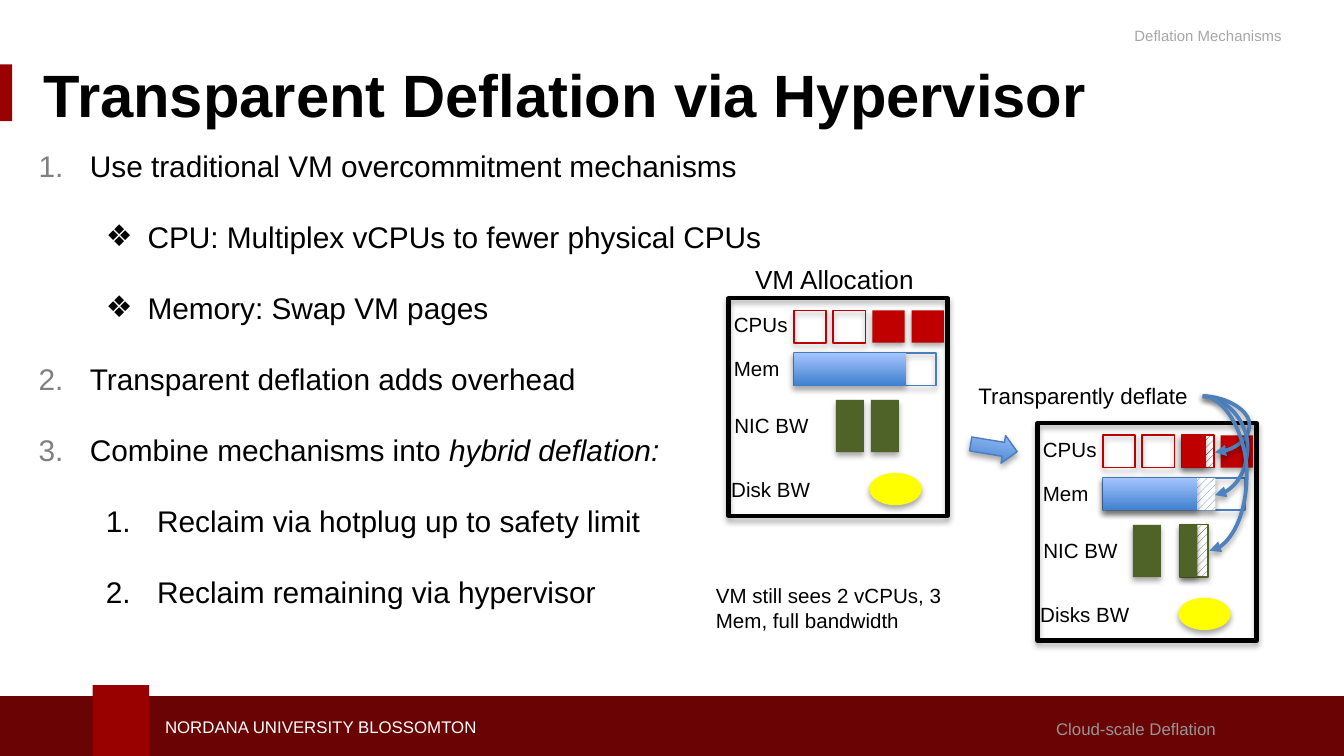
import copy
import pptx
import pptx.util
import pptx.oxml
import pptx.oxml.ns
import pptx.dml.color
import pptx.enum.dml
import pptx.enum.shapes
import pptx.enum.text

Cm = pptx.util.Cm
Pt = pptx.util.Pt
hue = pptx.dml.color.RGBColor.from_string
kind = pptx.enum.shapes.MSO_SHAPE
space = pptx.oxml.ns.nsdecls("a")
qn = pptx.oxml.ns.qn
shade = pptx.oxml.parse_xml(
    f'<a:effectLst {space}><a:outerShdw blurRad="40000" dist="23000" dir="5400000" rotWithShape="0">'
    '<a:srgbClr val="000000"><a:alpha val="35000"/></a:srgbClr></a:outerShdw></a:effectLst>')

deck = pptx.Presentation()
deck.slide_width, deck.slide_height = Cm(25.4), Cm(14.29)
page = deck.slides.add_slide(deck.slide_layouts[6])
items = page.shapes


def write(text, at=None, par=None, size=11, tint="000000", bold=False,
          ital=False, wrap=True, mid=False, right=False):
    if par is None:
        frame = items.add_textbox(*map(Cm, at)).text_frame
        frame.word_wrap = wrap
        if mid:
            frame.vertical_anchor = pptx.enum.text.MSO_ANCHOR.MIDDLE
        par = frame.paragraphs[0]
        if right:
            par.alignment = pptx.enum.text.PP_ALIGN.RIGHT
    run = par.add_run()
    run.text = text
    font = run.font
    font.name, font.size, font.bold, font.italic = "Arial", Pt(size), bold, ital
    font.color.rgb = hue(tint)


def draw(x, y, w, h, fill=None, line=None, width=1, form=kind.RECTANGLE, style="solid", cast=True):
    item = items.add_shape(form, Cm(x), Cm(y), Cm(w), Cm(h))
    if fill is None:
        item.fill.background()
    elif style == "hatch":
        item.fill.patterned()
        item.fill.pattern = pptx.enum.dml.MSO_PATTERN.WIDE_UPWARD_DIAGONAL
        item.fill.fore_color.rgb = hue(fill)
        item.fill.back_color.rgb = hue("FFFFFF")
    elif style == "fade":
        item.fill.gradient()
        item.fill.gradient_angle = 90
        for stop, tint in zip(item.fill.gradient_stops, (fill, "A4C4FF")):
            stop.color.rgb = hue(tint)
    else:
        item.fill.solid()
        item.fill.fore_color.rgb = hue(fill)
    if line:
        item.line.color.rgb = hue(line)
        item.line.width = Pt(width)
    else:
        item.line.fill.background()
    item.shadow.inherit = False
    if cast:
        item._element.spPr.find(qn("a:effectLst")).append(copy.deepcopy(shade[0]))
    return item


draw(-0.08, 13.16, 25.6, 1.27, "690304", cast=False)
draw(1.75, 12.95, 1.07, 1.47, "990000", cast=False)
draw(0, 1.22, 0.23, 1.07, "990000", cast=False)
write("NORDANA UNIVERSITY BLOSSOMTON", (2.87, 13.41, 10.03, 0.64), size=9, tint="FFFFFF", mid=True)
write("Cloud-scale Deflation", (19.71, 13.46, 3.99, 0.64), size=9, tint="969696")
write("Transparent Deflation via Hypervisor", (0.58, 0.58, 21.87, 2.39), size=32, bold=True, mid=True)
write("Deflation Mechanisms", (19.96, 0.38, 4.52, 0.76), size=8, tint="A6A6A6", right=True)

body = items.add_textbox(Cm(0.48), Cm(2.67), Cm(14.53), Cm(9.22)).text_frame
body.word_wrap = True
number = '<a:buFont {0} typeface="+mj-lt"/>', '<a:buAutoNum {0} type="arabicPeriod"/>'
main = (0, 0.97, 0.97, ('<a:buClr {0}><a:srgbClr val="808080"/></a:buClr>',) + number)
dot = (1, 2.06, 0.79, ('<a:buFont {0} typeface="Arial"/>', '<a:buChar {0} char="❖"/>'))
sub = (1, 2.24, 0.97, number)
rows = [
    (main, "Use traditional VM overcommitment mechanisms", ""),
    (dot, "CPU: Multiplex vCPUs to fewer physical CPUs", ""),
    (dot, "Memory: Swap VM pages", ""),
    (main, "Transparent deflation adds overhead", ""),
    (main, "Combine mechanisms into ", "hybrid deflation:"),
    (sub, "Reclaim via hotplug up to safety limit", ""),
    (sub, "Reclaim remaining via hypervisor", ""),
]
for i, ((level, left, hang, marks), text, tail) in enumerate(rows):
    par = body.add_paragraph() if i else body.paragraphs[0]
    par.level = level
    par.space_before, par.space_after = Pt(0.8), Pt(18)
    props = par._p.get_or_add_pPr()
    props.set("marL", str(Cm(left)))
    props.set("indent", str(-Cm(hang)))
    for mark in marks:
        props.append(pptx.oxml.parse_xml(mark.format(space)))
    write(text, par=par, size=16)
    if tail:
        write(tail, par=par, size=16, ital=True)

red, green, blue, edge = "C00000", "4F6228", "3F80CE", "4B7EBC"
for x, y, disk, small in ((13.77, 5.64, "Disk BW", False), (19.61, 8, "Disks BW", True)):
    draw(x, y, 4.14, 4.11, line="000000", width=2.25)
    cores = [x + 1.24 + 0.74 * i for i in range(4)]
    for i, core in enumerate(cores):
        if i < 2:
            draw(core, y + 0.23, 0.61, 0.61, line=red)
        elif i == 2 and small:
            draw(core, y + 0.23, 0.61, 0.61, red, red, style="hatch")
            draw(core, y + 0.23, 0.46, 0.61, red)
        else:
            draw(core, y + 0.23, 0.61, 0.61, red)
    draw(x + 1.23, y + 1.04, 2.69, 0.61, line=edge)
    if small:
        draw(x + 1.25, y + 1.04, 2.11, 0.61, "4F81BD", style="hatch")
    draw(x + 1.24, y + 1.04, 1.78 if small else 2.11, 0.61, blue, style="fade")
    draw(x + (1.8 if small else 2.03), y + 1.92, 0.53, 0.99, green)
    if small:
        draw(x + 2.69, y + 1.92, 0.53, 0.99, green, green, 0.75, style="hatch")
    draw(x + 2.69, y + 1.92, 0.33 if small else 0.53, 0.99, green)
    draw(x + 2.66, y + 3.3, 0.99, 0.61, "FFFF00", form=kind.OVAL)
    for text, dx, dy, w in (("CPUs", -0.15, 0.14, 1.55), ("Mem", -0.15, 0.97, 1.37),
                            ("NIC BW", -0.14, 2.04, 2.1), (disk, -0.2, 3.25, 2.44)):
        write(text, (x + dx, y + dy, w, 0.74))

draw(18.34, 8.2, 0.89, 0.53, blue, edge, 0.75, form=kind.RIGHT_ARROW, style="fade").rotation = 9.4
for x, y, bend in ((22.96, 8.55, 384600), (22.96, 9.36, 368800), (22.86, 10.41, 640900)):
    curve = items.add_connector(pptx.enum.shapes.MSO_CONNECTOR.CURVE, Cm(22.73), Cm(7.49), Cm(x), Cm(y))
    curve.line.color.rgb = hue("4F81BD")
    curve.line.width = Pt(2)
    props = curve._element.spPr
    props.find(".//" + qn("a:avLst")).append(
        pptx.oxml.parse_xml(f'<a:gd {space} name="adj1" fmla="val {bend}"/>'))
    props.find(qn("a:ln")).append(pptx.oxml.parse_xml(f'<a:tailEnd {space} type="triangle"/>'))
    props.append(copy.deepcopy(shade))

write("Transparently deflate", (18.24, 7.09, 4.5, 0.76), size=12, wrap=False)
write("VM Allocation", (14.02, 4.85, 3.53, 0.86), size=14, wrap=False)
write("VM still sees 2 vCPUs, 3 Mem, full bandwidth", (13.28, 10.9, 5.75, 1.19))

deck.save("out.pptx")
